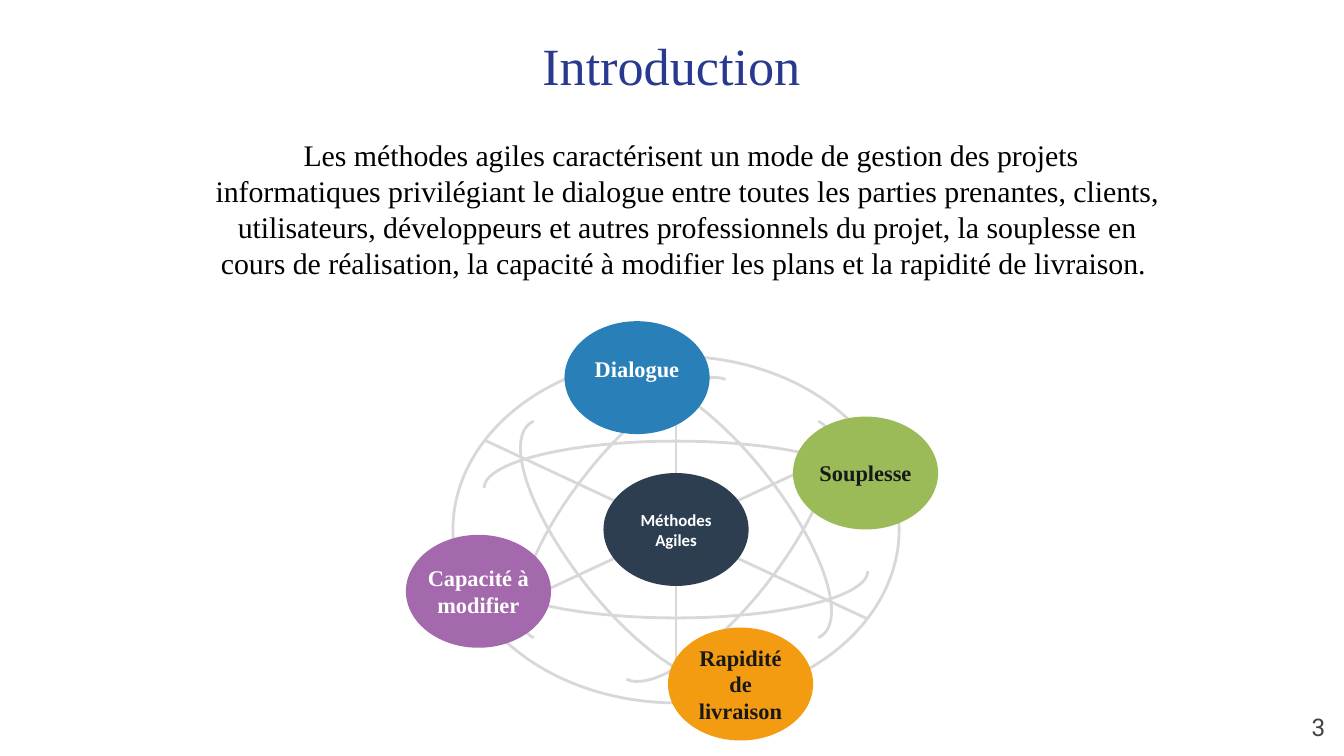
from math import cos, pi, radians, sin

from lxml.etree import SubElement
from pptx import Presentation
from pptx.dml.color import RGBColor
from pptx.enum.shapes import MSO_CONNECTOR, MSO_SHAPE
from pptx.enum.text import MSO_ANCHOR, MSO_AUTO_SIZE, PP_ALIGN
from pptx.oxml.ns import qn
from pptx.util import Inches, Pt

SERIF = "Times New Roman"
WEB_GREY = "D8D8D8"
INTRODUCTION = (
    " Les méthodes agiles caractérisent un mode de gestion des projets "
    "informatiques privilégiant le dialogue entre toutes les parties prenantes, "
    "clients, utilisateurs, développeurs et autres professionnels du projet, "
    "la souplesse en cours de réalisation, la capacité à modifier les plans "
    "et la rapidité de livraison. "
)
BUBBLE_SIZE = (1.08, 0.84)
BUBBLES = [
    ("Méthodes\nAgiles", 1.47, 1.13, "2C3E50", "FFFFFF", "Calibri", 9, 0.04, 0.04),
    ("Dialogue", 1.18, 0, "2980B9", "FFFFFF", SERIF, 12, 0, 0.17),
    ("Rapidité de livraison", 1.95, 2.28, "F39C12", "181818", SERIF, 12, 0, 0.04),
    ("Capacité à modifier", 0, 1.59, "A468AD", "FFFFFF", SERIF, 12, 0, 0.04),
    ("Souplesse", 2.88, 0.71, "9BBB59", "181818", SERIF, 12, 0, 0.04),
]


def color(hex_string):
    return RGBColor.from_string(hex_string)


def place(shape, box):
    for name, length in zip(("left", "top", "width", "height"), box):
        setattr(shape, name, Inches(length))


def write(shape, text, font, size, ink, bold=False, align=PP_ALIGN.CENTER,
          anchor=MSO_ANCHOR.TOP, margins=(0.1, 0.1, 0.1, 0.1)):
    frame = shape.text_frame
    frame.text = text
    sides = ("margin_left", "margin_top", "margin_right", "margin_bottom")
    frame_format = dict(zip(sides, map(Inches, margins)))
    frame_format.update(word_wrap=True, auto_size=MSO_AUTO_SIZE.NONE, vertical_anchor=anchor)
    for name, value in frame_format.items():
        setattr(frame, name, value)
    paragraph_format = {"alignment": align, "line_spacing": 1.0, "space_before": Pt(0)}
    font_format = {"name": font, "size": Pt(size), "bold": bold}
    for paragraph in frame.paragraphs:
        for name, value in paragraph_format.items():
            setattr(paragraph, name, value)
        for run in paragraph.runs:
            for name, value in font_format.items():
                setattr(run.font, name, value)
            run.font.color.rgb = color(ink)


def add_heading(slide, box):
    heading = slide.shapes.title
    place(heading, box)
    write(heading, "Introduction", SERIF, 28, "2A3990")


def add_introduction(slide, box):
    introduction = slide.placeholders[1]
    place(introduction, box)
    write(introduction, INTRODUCTION, SERIF, 16, "000000")
    properties = introduction.text_frame.paragraphs[0]._p.get_or_add_pPr()
    for name in ("marL", "indent"):
        properties.set(name, "0")
    SubElement(properties, qn("a:buNone"))


def outline(line):
    line.color.rgb = color(WEB_GREY)
    line.width = Pt(1.5)


def add_web(slide, box):
    left, top, width, height = box

    def point(x, y, angle=0):
        turn = radians(angle)
        across = x * cos(turn) - y * sin(turn)
        down = x * sin(turn) + y * cos(turn)
        return (Inches(left + width / 2 * (1 + across)),
                Inches(top + height / 2 * (1 + down)))

    rim = slide.shapes.add_shape(MSO_SHAPE.OVAL, *map(Inches, box))
    rim.shadow.inherit = False
    rim.fill.background()
    outline(rim.line)

    for angle in (31, 90, 149):
        spoke = slide.shapes.add_connector(
            MSO_CONNECTOR.STRAIGHT, *point(-1, 0, angle), *point(1, 0, angle))
        outline(spoke.line)
        SubElement(spoke._element.spPr, qn("a:effectLst"))

    steps = 40
    for angle in range(0, 360, 60):
        curve = [point(-0.86 * cos(pi * step / steps),
                       -0.24 - 0.27 * sin(pi * step / steps), angle)
                 for step in range(steps + 1)]
        builder = slide.shapes.build_freeform(*curve[0])
        builder.add_line_segments(curve[1:], close=False)
        orbit = builder.convert_to_shape()
        orbit.shadow.inherit = False
        orbit.fill.background()
        outline(orbit.line)


def add_bubbles(slide, origin):
    left, top = origin
    for label, x, y, fill, ink, font, size, side, bottom in BUBBLES:
        bubble = slide.shapes.add_shape(
            MSO_SHAPE.OVAL, *map(Inches, (left + x, top + y, *BUBBLE_SIZE)))
        bubble.shadow.inherit = False
        bubble.fill.solid()
        bubble.fill.fore_color.rgb = color(fill)
        bubble.line.fill.background()
        write(bubble, label, font, size, ink, bold=True, anchor=MSO_ANCHOR.MIDDLE,
              margins=(side, 0.04, side, bottom))


def add_page_number(slide, box):
    number = slide.shapes.add_textbox(*map(Inches, box))
    write(number, "3", "Roboto", 13, "434343", align=PP_ALIGN.RIGHT,
          anchor=MSO_ANCHOR.MIDDLE)


def main():
    presentation = Presentation()
    presentation.slide_width = Inches(10)
    presentation.slide_height = Inches(10) * 9 // 16
    slide = presentation.slides.add_slide(presentation.slide_layouts[1])
    add_heading(slide, (2.1, 0.15, 5.79, 0.64))
    add_web(slide, (3.37, 2.65, 3.32, 2.58))
    add_bubbles(slide, (3.02, 2.39))
    add_introduction(slide, (1.47, 0.92, 7.29, 1.28))
    add_page_number(slide, (9.36, 5.19, 0.6, 0.43))
    presentation.save("out.pptx")


if __name__ == "__main__":
    main()
